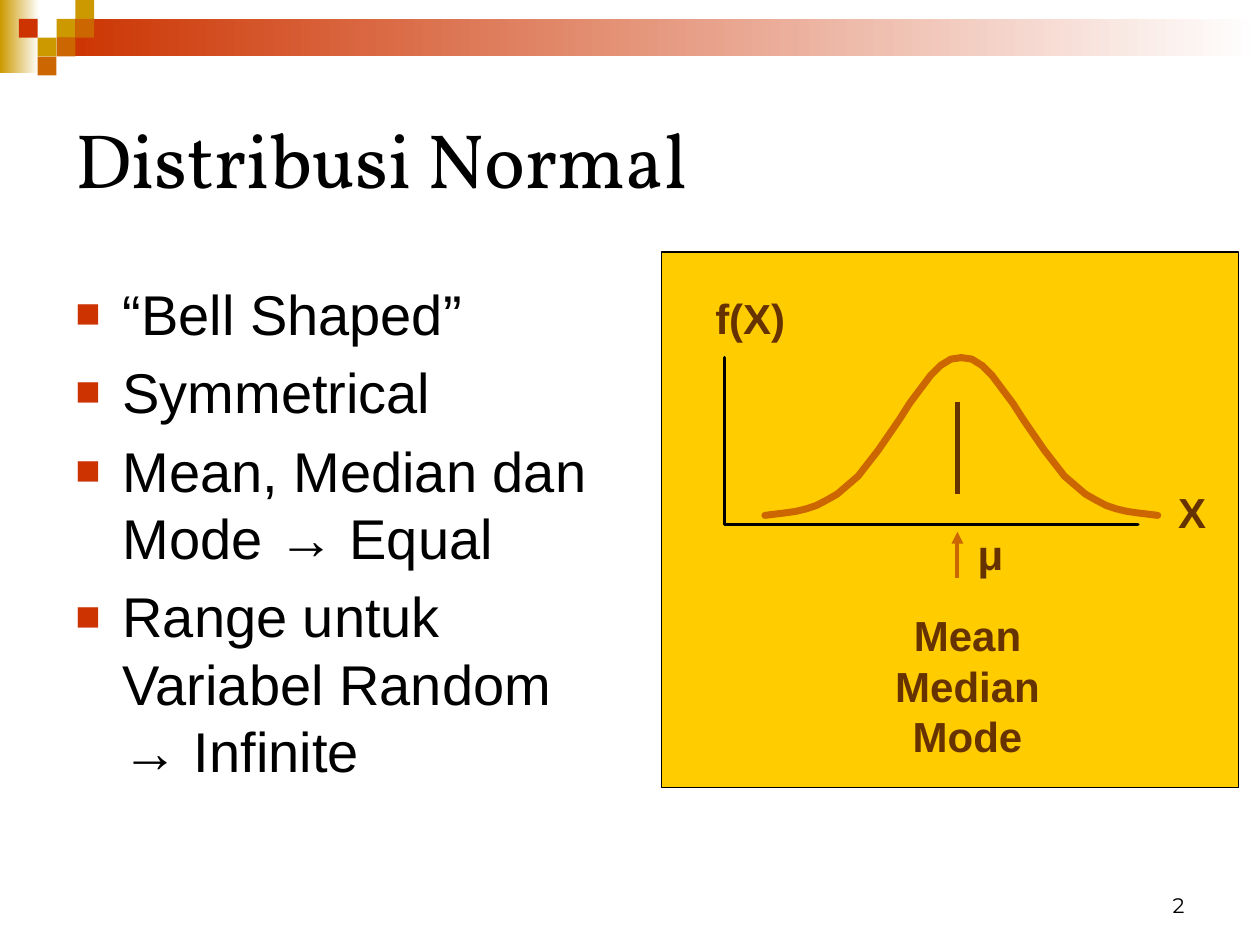
from dataclasses import dataclass

import pptx
import pptx.dml.color
import pptx.enum.dml
import pptx.enum.shapes
import pptx.enum.text
import pptx.oxml.ns
import pptx.util
from lxml import etree

Cm, Pt = pptx.util.Cm, pptx.util.Pt
RGBColor = pptx.dml.color.RGBColor
PP_ALIGN = pptx.enum.text.PP_ALIGN
MSO_ANCHOR = pptx.enum.text.MSO_ANCHOR
MSO_SHAPE = pptx.enum.shapes.MSO_SHAPE
qn = pptx.oxml.ns.qn

BLACK = RGBColor(0x00, 0x00, 0x00)
WHITE = RGBColor(0xFF, 0xFF, 0xFF)
RED = RGBColor(0xCC, 0x33, 0x00)
ORANGE = RGBColor(0xCC, 0x66, 0x00)
GOLD = RGBColor(0xCC, 0x99, 0x00)
YELLOW = RGBColor(0xFF, 0xCC, 0x00)
BROWN = RGBColor(0x66, 0x33, 0x00)


@dataclass
class Box:
    left: float
    top: float
    width: float
    height: float

    def emu(self) -> tuple:
        return Cm(self.left), Cm(self.top), Cm(self.width), Cm(self.height)


@dataclass
class Label:
    text: str
    box: Box
    size: int = 24
    font: str = "Arial"
    color: RGBColor = BROWN
    bold: bool = True
    align: PP_ALIGN = PP_ALIGN.LEFT
    anchor: MSO_ANCHOR = MSO_ANCHOR.TOP
    wrap: bool = True
    grow: bool = True


@dataclass
class Stroke:
    points: list
    color: RGBColor
    weight: float


def add_rect(slide, box: Box, color: RGBColor, fade: bool = False):
    rect = slide.shapes.add_shape(MSO_SHAPE.RECTANGLE, *box.emu())
    rect.shadow.inherit = False
    rect.line.fill.background()
    if fade:
        rect.fill.gradient()
        rect.fill.gradient_angle = 0
        for stop, stop_color in zip(rect.fill.gradient_stops, (color, WHITE)):
            stop.color.rgb = stop_color
    else:
        rect.fill.solid()
        rect.fill.fore_color.rgb = color
    return rect


def style_font(font, size: int, name: str, color: RGBColor, bold: bool) -> None:
    font.size, font.name, font.bold = Pt(size), name, bold
    font.color.rgb = color


def add_label(slide, label: Label) -> None:
    frame = slide.shapes.add_textbox(*label.box.emu()).text_frame
    frame.word_wrap = label.wrap
    frame.vertical_anchor = label.anchor
    if label.grow:
        frame.auto_size = pptx.enum.text.MSO_AUTO_SIZE.SHAPE_TO_FIT_TEXT
    frame.text = label.text
    paragraph = frame.paragraphs[0]
    paragraph.alignment = label.align
    for run in paragraph.runs:
        style_font(run.font, label.size, label.font, label.color, label.bold)


def add_bullets(slide, box: Box, points: list) -> None:
    frame = slide.shapes.add_textbox(*box.emu()).text_frame
    frame.word_wrap = True
    frame.text = "\n".join(points)
    for number, paragraph in enumerate(frame.paragraphs):
        paragraph.space_before = Pt(6.4 if number else 0)
        properties = paragraph._p.get_or_add_pPr()
        properties.set("marL", str(Cm(0.95)))
        properties.set("indent", str(Cm(-0.95)))
        bullet_color = etree.SubElement(properties, qn("a:buClr"))
        etree.SubElement(bullet_color, qn("a:srgbClr"), val=str(RED))
        etree.SubElement(properties, qn("a:buSzPct"), val="75000")
        etree.SubElement(properties, qn("a:buFont"), typeface="Arial")
        etree.SubElement(properties, qn("a:buChar"), char="■")
        for run in paragraph.runs:
            style_font(run.font, 32, "Arial", BLACK, False)


def add_polyline(slide, stroke: Stroke) -> None:
    start, *rest = [(Cm(x), Cm(y)) for x, y in stroke.points]
    builder = slide.shapes.build_freeform(*start)
    builder.add_line_segments(rest, close=False)
    outline = builder.convert_to_shape()
    outline.shadow.inherit = False
    outline.fill.background()
    outline.line.color.rgb = stroke.color
    outline.line.width = Pt(stroke.weight)
    outline.line._get_or_add_ln().set("cap", "rnd")


def add_line(slide, stroke: Stroke, arrow: bool = False) -> None:
    (x1, y1), (x2, y2) = stroke.points
    line = slide.shapes.add_connector(
        pptx.enum.shapes.MSO_CONNECTOR.STRAIGHT, Cm(x1), Cm(y1), Cm(x2), Cm(y2))
    line.line.color.rgb = stroke.color
    line.line.width = Pt(stroke.weight)
    if arrow:
        etree.SubElement(line.line._get_or_add_ln(), qn("a:headEnd"), type="triangle")
    etree.SubElement(line._element.spPr, qn("a:effectLst"))


# Header: fading bands and a grid of squares (column, row, colour)
BANDS = [(Box(0, 0, 0.79, 1.47), GOLD), (Box(1.14, 0.38, 24.26, 0.76), RED)]
SQUARE = 0.38
SQUARES = [(3, 1, GOLD), (4, 0, GOLD), (4, 1, ORANGE), (2, 2, GOLD),
           (1, 1, RED), (3, 2, ORANGE), (2, 3, ORANGE)]

HEADINGS = [
    Label("2", Box(18.21, 17.35, 5.92, 1.27), 12, "Montserrat", BLACK, False,
          PP_ALIGN.RIGHT, MSO_ANCHOR.BOTTOM, grow=False),
    Label("Distribusi Normal", Box(1.27, 1.27, 22.86, 3.81), 44, "Vollkorn", BLACK,
          False, anchor=MSO_ANCHOR.MIDDLE, grow=False),
]
PROPERTIES = ["“Bell Shaped”", "Symmetrical", "Mean, Median dan\vMode → Equal",
              "Range untuk Variabel Random\v→ Infinite"]

# Bell curve: distance from the peak and height on the slide, mirrored for each side
PEAK_X = 19.38
CURVE = [(0, 7.21), (0.21, 7.24), (0.42, 7.37), (0.62, 7.57), (0.83, 7.85),
         (1.04, 8.13), (1.25, 8.46), (1.67, 9.07), (2.08, 9.6), (2.5, 9.96),
         (2.71, 10.08), (2.92, 10.19), (3.13, 10.26), (3.34, 10.31),
         (3.55, 10.34), (3.96, 10.39)]
AXES = Stroke([(14.61, 7.21), (14.61, 10.57), (22.94, 10.57)], BLACK, 2)
MEAN_X = 19.3
MEAN_ARROW = Stroke([(MEAN_X, 10.72), (MEAN_X, 11.66)], ORANGE, 2.25)
MEAN_LINE = Stroke([(MEAN_X, 8.1), (MEAN_X, 9.96)], BROWN, 3)

CURVE_LABELS = [
    Label("Mean Median Mode", Box(17.37, 12.17, 4.27, 3.3), align=PP_ALIGN.CENTER),
    Label("X", Box(23.5, 9.68, 1.07, 1.27), wrap=False),
    Label("f(X)", Box(14.17, 5.77, 1.91, 1.27), wrap=False),
    Label("μ", Box(19.46, 10.52, 1.3, 1.27)),
]


def main() -> None:
    deck = pptx.Presentation()
    deck.slide_width, deck.slide_height = Cm(25.4), Cm(19.05)
    slide = deck.slides.add_slide(deck.slide_layouts[6])

    # Header
    for band, color in BANDS:
        add_rect(slide, band, color, fade=True)
    for column, row, color in SQUARES:
        add_rect(slide, Box(column * SQUARE, row * SQUARE, SQUARE, SQUARE), color)

    # Title, slide number and bullets
    for heading in HEADINGS:
        add_label(slide, heading)
    add_bullets(slide, Box(1.27, 5.51, 11.23, 10.8), PROPERTIES)

    # Panel with the normal curve
    panel = add_rect(slide, Box(13.34, 5.08, 11.63, 10.8), YELLOW)
    panel.line.color.rgb = BLACK
    panel.line.width = Pt(0.75)
    add_line(slide, MEAN_ARROW, arrow=True)
    for side in (1, -1):
        half = [(PEAK_X + side * distance, y) for distance, y in CURVE]
        add_polyline(slide, Stroke(half, ORANGE, 4))
    add_line(slide, MEAN_LINE)
    add_polyline(slide, AXES)
    for label in CURVE_LABELS:
        add_label(slide, label)

    deck.save("out.pptx")


if __name__ == "__main__":
    main()
